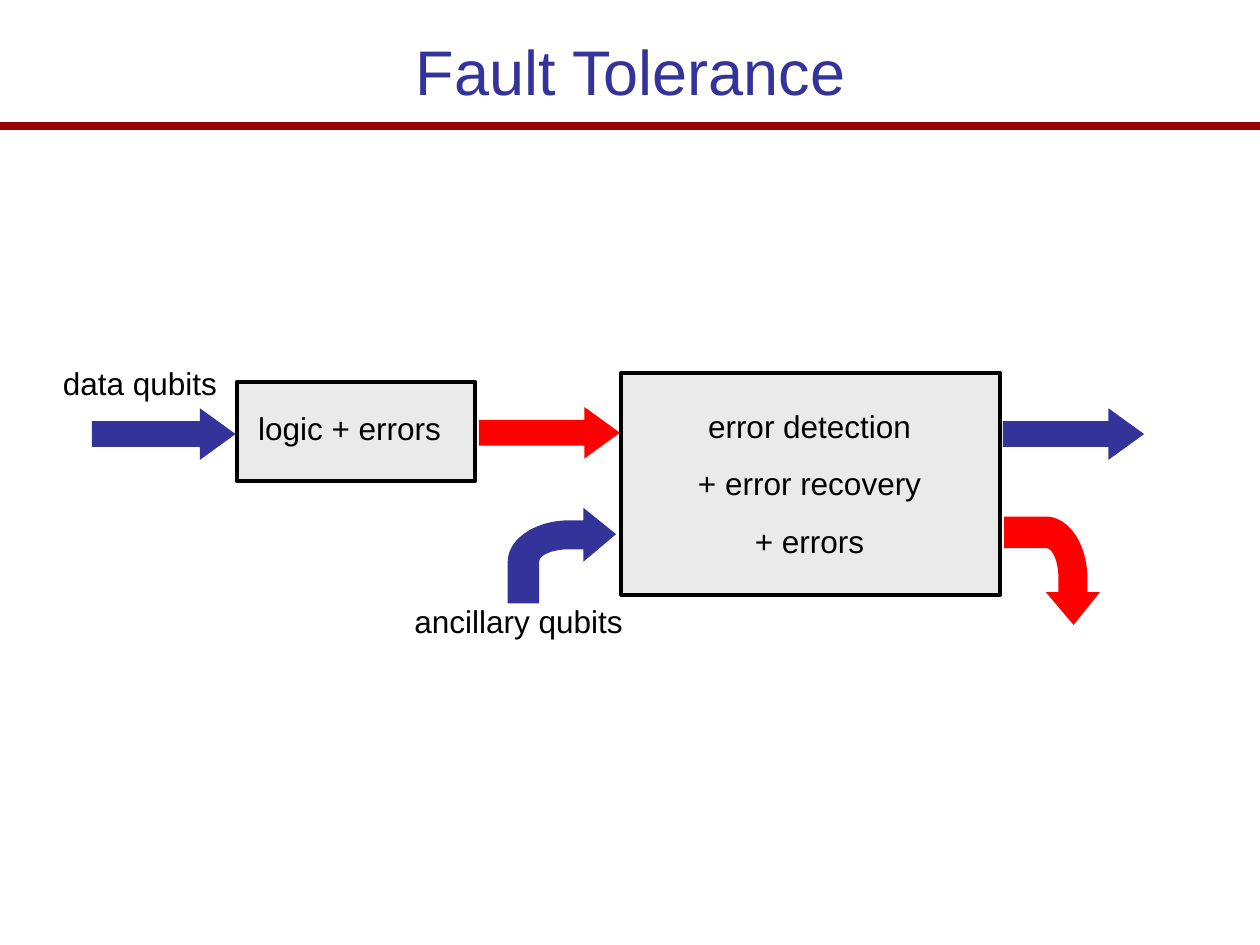
import math

import pptx
import pptx.dml.color
import pptx.enum.shapes
import pptx.enum.text
import pptx.oxml.ns
import pptx.util
from pptx.util import Inches

BLUE, RED, DARK_RED = "333399", "FF0000", "990000"
BLACK, GRAY = "000000", "EAEAEA"
SHAPES = pptx.enum.shapes.MSO_SHAPE
ALIGN = pptx.enum.text.PP_ALIGN


def color(value):
    return pptx.dml.color.RGBColor.from_string(value)


def format_paragraph(para, size, text_color, align):
    para.alignment = align
    values = {"name": "Arial", "size": pptx.util.Pt(size)}
    for name, value in values.items():
        setattr(para.font, name, value)
    para.font.color.rgb = color(text_color)


def paint(shape, fill, line=None):
    shape.shadow.inherit = False
    shape.fill.solid()
    shape.fill.fore_color.rgb = color(fill)
    if line:
        shape.line.color.rgb = color(line)
        shape.line.width = pptx.util.Pt(2.25)
    else:
        shape.line.fill.background()


def set_title(page, text):
    title = page.shapes.title
    place = {"left": 0.17, "top": 0.17, "width": 9.67, "height": 0.78}
    for name, value in place.items():
        setattr(title, name, Inches(value))
    title.text_frame.text = text
    title.text_frame.vertical_anchor = pptx.enum.text.MSO_ANCHOR.MIDDLE
    format_paragraph(title.text_frame.paragraphs[0], 36, BLUE, ALIGN.CENTER)


def add_rule(page, top):
    rule = page.shapes.add_connector(
        pptx.enum.shapes.MSO_CONNECTOR.STRAIGHT,
        0, Inches(top), Inches(10), Inches(top))
    rule.line.color.rgb = color(DARK_RED)
    rule.line.width = pptx.util.Pt(4.5)
    properties = rule.element.find(pptx.oxml.ns.qn("p:spPr"))
    properties.append(pptx.oxml.parse_xml(
        f"<a:effectLst {pptx.oxml.ns.nsdecls('a')}/>"))


def add_block(page, *place):
    block = page.shapes.add_shape(SHAPES.RECTANGLE, *map(Inches, place))
    paint(block, GRAY, BLACK)


def add_label(page, lines, place, align=ALIGN.LEFT):
    box = page.shapes.add_textbox(*map(Inches, place))
    frame = box.text_frame
    frame.word_wrap = True
    frame.auto_size = pptx.enum.text.MSO_AUTO_SIZE.SHAPE_TO_FIT_TEXT
    frame.text = "\n".join(lines)
    for index, para in enumerate(frame.paragraphs):
        format_paragraph(para, 18, BLACK, align)
        if index:
            para.space_before = pptx.util.Pt(11.2)


def add_straight_arrow(page, left, top, width, fill):
    arrow = page.shapes.add_shape(
        SHAPES.RIGHT_ARROW, *map(Inches, (left, top, width, 0.41)))
    arrow.adjustments[1] = 0.69
    paint(arrow, fill)


def bend(radius_x, radius_y, steps=24):
    """Points of a quarter ellipse from its left end up to its top."""
    angles = [math.pi / 2 * step / steps for step in range(steps + 1)]
    return [(0.49 - radius_x * math.cos(angle),
             0.43 - radius_y * math.sin(angle)) for angle in angles]


def add_bent_arrow(page, left, top, fill, rotation=0):
    head = [(0.6, 0.1), (0.6, 0), (0.86, 0.21), (0.6, 0.43), (0.6, 0.33)]
    outline = bend(0.49, 0.33) + head + bend(0.24, 0.1)[::-1] + [(0.25, 0.76)]
    builder = page.shapes.build_freeform(Inches(0), Inches(0.76))
    builder.add_line_segments(
        [(Inches(x), Inches(y)) for x, y in outline], close=True)
    arrow = builder.convert_to_shape(Inches(left), Inches(top))
    arrow.rotation = rotation
    paint(arrow, fill)


def main():
    deck = pptx.Presentation()
    deck.slide_width, deck.slide_height = Inches(10), Inches(7.5)
    page = deck.slides.add_slide(deck.slide_layouts[5])

    # Heading
    add_rule(page, 1)
    set_title(page, "Fault Tolerance")

    # Processing stages
    add_block(page, 1.88, 3.03, 1.89, 0.79)
    add_block(page, 4.93, 2.96, 3.01, 1.76)
    add_label(page, ["logic + errors"], (1.95, 3.2, 1.7, 0.4))
    add_label(page, ["error detection", "+ error recovery", "+ errors"],
              (5.02, 3.18, 2.81, 1.32), ALIGN.CENTER)

    # Qubit inputs
    add_label(page, ["data qubits"], (0.4, 2.84, 1.49, 0.4))
    add_label(page, ["ancillary qubits"], (3.19, 4.73, 1.98, 0.4))

    # Flow between the stages
    add_straight_arrow(page, 0.73, 3.24, 1.14, BLUE)
    add_straight_arrow(page, 3.8, 3.23, 1.12, RED)
    add_straight_arrow(page, 7.96, 3.24, 1.12, BLUE)
    add_bent_arrow(page, 7.92, 4.15, RED, rotation=90)
    add_bent_arrow(page, 4.03, 4.03, BLUE)

    deck.save("out.pptx")


if __name__ == "__main__":
    main()
